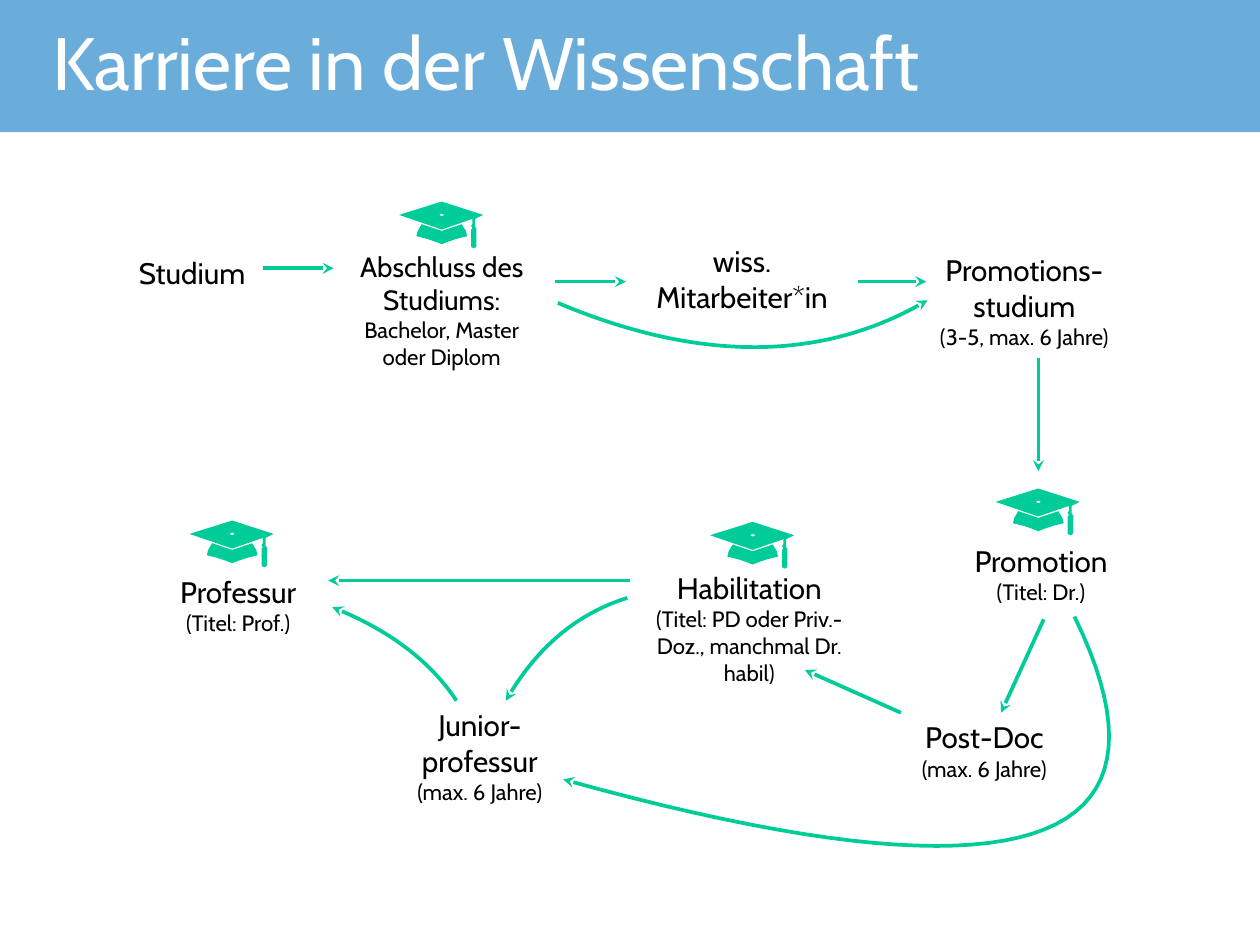
from pptx import Presentation
from pptx.dml.color import RGBColor
from pptx.enum.shapes import MSO_CONNECTOR as Connector, MSO_SHAPE as Preset
from pptx.enum.text import MSO_ANCHOR as Anchor, PP_ALIGN as Align
from pptx.oxml.ns import qn
from pptx.util import Inches, Pt
from lxml.etree import SubElement

COLORS = {"banner": "6AACDA", "accent": "00CC99", "text": "000000", "title": "FFFFFF"}

# Outlines of the graduation cap, measured from the top tip of the board
CAP_BOARD = [(0, 0), (-.32, .1), (0, .21), (.23, .13), (.23, .17), (.22, .18),
             (.23, .2), (.22, .21), (.22, .34), (.24, .35), (.26, .34),
             (.26, .2), (.25, .19), (.25, .13), (.31, .1)]
CAP_BUTTON = [(0, .09), (.02, .1), (0, .11), (-.02, .1)]
CAP_BODY = [(0, .22), (-.15, .17), (-.18, .22), (-.19, .26), (-.11, .28), (-.05, .3),
            (0, .32), (.05, .3), (.11, .28), (.19, .26), (.18, .22), (.15, .17)]


def bezier(points, steps=40):
    """Return points along a cubic curve given by its four control points."""
    curve = []
    for step in range(steps + 1):
        t = step / steps
        weights = ((1 - t) ** 3, 3 * t * (1 - t) ** 2, 3 * t ** 2 * (1 - t), t ** 3)
        curve.append(tuple(sum(w * p[axis] for w, p in zip(weights, points))
                           for axis in (0, 1)))
    return curve


def emu(points):
    return [(Inches(x), Inches(y)) for x, y in points]


class CareerSlide:
    font = "Cabin"
    heading_size = 16
    detail_size = 12
    arrow_width = 2
    inset = 0.05

    def __init__(self, slide):
        self.shapes = slide.shapes

    def color(self, name):
        return RGBColor.from_string(COLORS[name])

    def fill(self, shape, color):
        shape.shadow.inherit = False
        shape.fill.solid()
        shape.fill.fore_color.rgb = self.color(color)
        shape.line.fill.background()

    def banner(self, left, top, width, height):
        bar = self.shapes.add_shape(
            Preset.RECTANGLE, *map(Inches, (left, top, width, height)))
        self.fill(bar, "banner")

    def text_box(self, box, inset):
        area = self.shapes.add_textbox(*map(Inches, box))
        frame = area.text_frame
        frame.word_wrap = True
        frame.margin_left = frame.margin_right = Inches(inset)
        frame.margin_top = frame.margin_bottom = Inches(inset)
        return area

    def set_text(self, paragraph, text, size, color, align):
        paragraph.text = text
        paragraph.alignment = align
        for run in paragraph.runs:
            run.font.name = self.font
            run.font.size = Pt(size)
            run.font.color.rgb = self.color(color)

    def title(self, text, box):
        frame = self.text_box(box, 0).text_frame
        frame.margin_left = Inches(0.39)
        frame.vertical_anchor = Anchor.MIDDLE
        self.set_text(frame.paragraphs[0], text, 40, "title", Align.LEFT)

    def station(self, box, heading, detail=None, size=heading_size):
        area = self.text_box(box, self.inset)
        frame = area.text_frame
        self.set_text(frame.paragraphs[0], heading, size, "text", Align.CENTER)
        if detail:
            self.set_text(frame.add_paragraph(), detail, self.detail_size,
                          "text", Align.CENTER)
        return area

    def style_arrow(self, arrow):
        arrow.line.color.rgb = self.color("accent")
        arrow.line.width = Pt(self.arrow_width)
        outline = arrow._element.spPr.find(qn("a:ln"))
        SubElement(outline, qn("a:tailEnd"), type="stealth")

    def arrow(self, start, end):
        arrow = self.shapes.add_connector(
            Connector.STRAIGHT, *map(Inches, start + end))
        self.style_arrow(arrow)
        SubElement(arrow._element.spPr, qn("a:effectLst"))
        return arrow

    def curved_arrow(self, *controls):
        start, *rest = emu(bezier(controls))
        builder = self.shapes.build_freeform(*start)
        builder.add_line_segments(rest, close=False)
        arrow = builder.convert_to_shape()
        arrow.shadow.inherit = False
        arrow.fill.background()
        self.style_arrow(arrow)

    def cap(self, center, top):
        board, button, body = (
            emu((center + x, top + y) for x, y in outline)
            for outline in (CAP_BOARD, CAP_BUTTON, CAP_BODY))
        builder = self.shapes.build_freeform(*board[0])
        builder.add_line_segments(board[1:])
        for outline in (button, body):
            builder.move_to(*outline[0])
            builder.add_line_segments(outline[1:])
        self.fill(builder.convert_to_shape(), "accent")


def main():
    deck = Presentation()
    deck.slide_width, deck.slide_height = Inches(9.44), Inches(7.08)
    career = CareerSlide(deck.slides.add_slide(deck.slide_layouts[6]))

    career.banner(0, 0, 9.44, 0.99)
    career.title("Karriere in der Wissenschaft", (0, 0.01, 7.86, 0.89))

    career.station((0.71, 1.86, 1.46, 0.36), "Studium")
    career.station((2.58, 1.82, 1.46, 0.96), "Abschluss des Studiums:",
                   "Bachelor, Master oder Diplom", size=15)
    assistant = career.station((4.69, 1.77, 1.74, 0.68), "wiss. Mitarbeiter*in")
    career.station((6.92, 1.84, 1.51, 0.82), "Promotions- studium",
                   "(3-5, max. 6 Jahre)")
    career.station((6.46, 4.02, 2.68, 0.56), "Promotion", "(Titel: Dr.)")
    career.station((6.75, 5.34, 1.25, 0.56), "Post-Doc", "(max. 6 Jahre)")
    career.station((4.8, 4.22, 1.63, 0.95), "Habilitation",
                   "(Titel: PD oder Priv.-Doz., manchmal Dr. habil)")
    career.station((2.97, 5.25, 1.25, 0.82), "Junior-professur", "(max. 6 Jahre)")
    career.station((1.16, 4.25, 1.25, 0.56), "Professur", "(Titel: Prof.)")

    for center, top in ((3.31, 1.51), (7.78, 3.66), (5.64, 3.91), (1.74, 3.9)):
        career.cap(center, top)

    to_assistant = career.arrow((4.16, 2.11), (4.69, 2.11))
    to_assistant.end_connect(assistant, 1)
    from_assistant = career.arrow((6.43, 2.11), (6.94, 2.11))
    from_assistant.begin_connect(assistant, 3)
    for start, end in (
        ((1.97, 2.01), (2.5, 2.01)),    # Studium - Abschluss
        ((7.78, 2.68), (7.78, 3.53)),   # Promotionsstudium - Promotion
        ((7.82, 4.64), (7.5, 5.34)),    # Promotion - Post-Doc
        ((6.75, 5.34), (6.03, 5.02)),   # Post-Doc - Habilitation
        ((4.72, 4.35), (2.46, 4.35)),   # Habilitation - Professur
    ):
        career.arrow(start, end)

    for controls in (
        ((4.18, 2.27), (5.25, 2.72), (6.17, 2.71), (6.95, 2.25)),  # Abschluss - Promotionsstudium
        ((4.7, 4.48), (4.32, 4.6), (4.02, 4.85), (3.79, 5.25)),    # Habilitation - Juniorprofessur
        ((3.42, 5.25), (3.23, 4.96), (2.92, 4.72), (2.49, 4.55)),  # Juniorprofessur - Professur
        ((8.05, 4.62), (8.91, 6.38), (7.63, 6.79), (4.22, 5.84)),  # Promotion - Juniorprofessur
    ):
        career.curved_arrow(*controls)

    deck.save("out.pptx")


if __name__ == "__main__":
    main()
